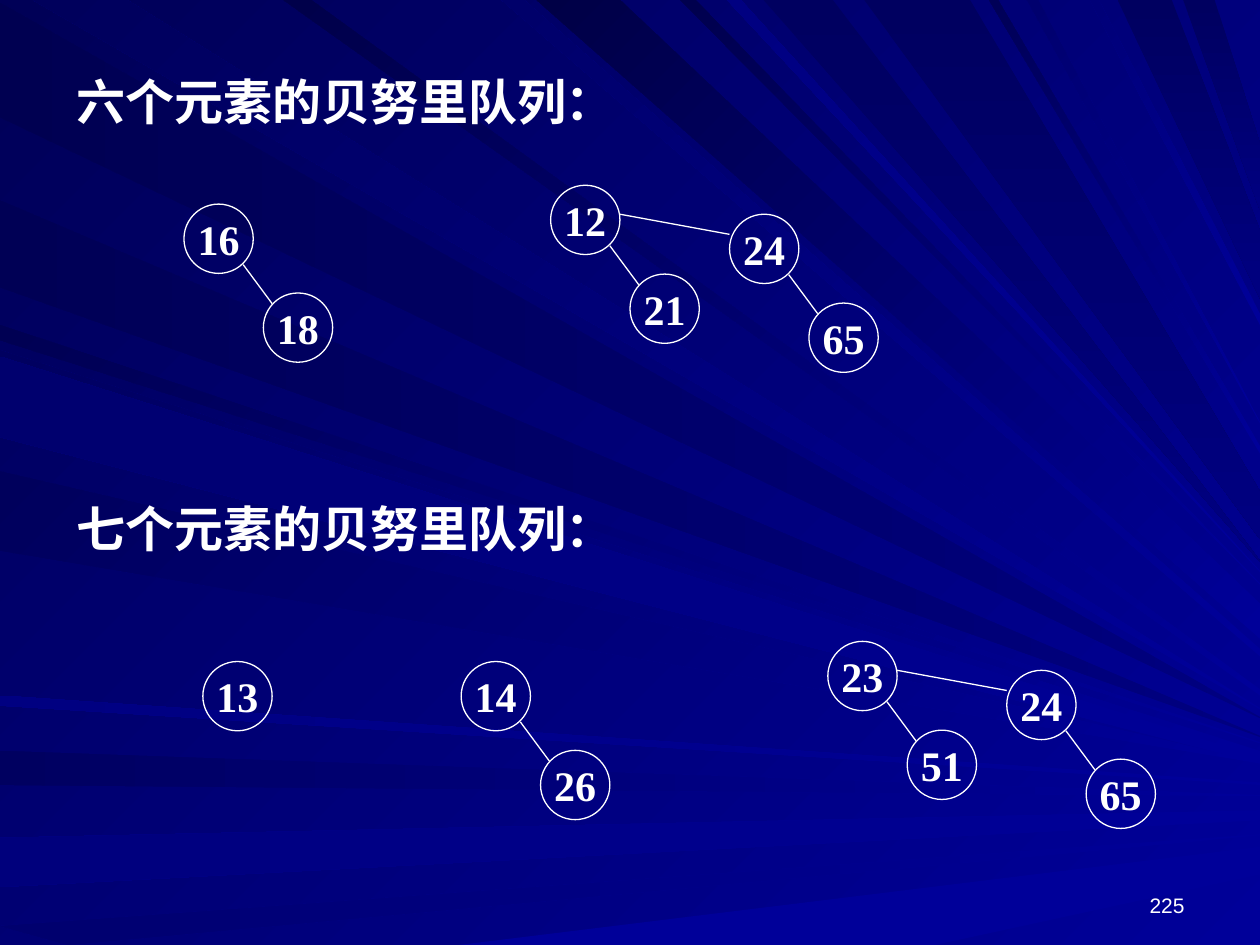
from dataclasses import dataclass
from typing import NamedTuple

from lxml.etree import SubElement
from pptx import Presentation
from pptx.dml.color import RGBColor
from pptx.enum.shapes import MSO_CONNECTOR, MSO_SHAPE
from pptx.enum.text import MSO_ANCHOR, MSO_AUTO_SIZE, PP_ALIGN
from pptx.oxml.ns import qn
from pptx.util import Inches, Pt


class Box(NamedTuple):
    """A region in grid columns and rows."""
    left: float
    top: float
    width: float
    height: float


class Shade(NamedTuple):
    """A clockwise gradient angle and its first colour."""
    angle: int
    start: str


class Ray(NamedTuple):
    """A wedge from a span of the border to the right edge."""
    shade: Shade
    end: str
    low: int
    high: int
    far: int
    spread: int = 1


@dataclass(frozen=True)
class Theme:
    """Colours, fonts and sizes of the deck."""
    ink: str = "FFFFFF"
    bright: str = "000099"
    middle: str = "000080"
    dark: str = "000057"
    steep: str = "000060"
    serif: str = "Times New Roman"
    sans: str = "Arial"
    title: int = 28
    node: int = 24
    number: int = 12
    stroke: float = 0.75


THEME = Theme()
CELL = Inches(0.01)
SLIDE = Box(0, 0, 1000, 750)
NODE = 55
CHILD = (63, 70.5)
SUBTREE = (142, 23)
CHILD_LINK = (47, 48, 70, 79)
SUBTREE_LINK = (55, 23, 142, 39)

FLAT = Shade(180, THEME.bright)
DIM = Shade(180, THEME.middle)
SLANT = Shade(225, THEME.bright)
STEEP = Shade(90, THEME.steep)
RAYS = [
    Ray(DIM, "000051", -93, -2, 569),
    Ray(SLANT, "00005C", 26, 101, 562),
    Ray(FLAT, "000060", -623, -596, 631),
    Ray(FLAT, "00007C", -704, -665, 643, 8),
    Ray(FLAT, "00006E", -804, -735, 662),
    Ray(FLAT, "000099", -1492, -1114, 672, 22),
    Ray(SLANT, "000053", -270, -258, 589),
    Ray(DIM, "000055", -228, -159, 584),
    Ray(SLANT, "00006A", 398, 416, 515, 6),
    Ray(SLANT, "000046", 426, 492, 479, 28),
    Ray(SLANT, "00004E", 540, 552, 463),
    Ray(STEEP, "000080", 606, 661, 445),
    Ray(STEEP, "000080", 887, 930, 183, 54),
    Ray(STEEP, "000080", 939, 964, 114, 53),
    Ray(SLANT, "000060", -342, -278, 596, 6),
    Ray(SLANT, "00005C", -437, -374, 605),
    Ray(FLAT, "000081", -560, -552, 621, 2),
    Ray(SLANT, "00004A", 225, 247, 547, 5),
    Ray(SLANT, "000081", 577, 588, 453),
    Ray(STEEP, "000080", 686, 770, 390, 38),
    Ray(SLANT, "000057", 785, 792, 354, 6),
    Ray(SLANT, "00006E", 815, 824, 335),
    Ray(SLANT, "000078", 865, 872, 249, 9),
    Ray(FLAT, "00006E", -347, -283, 601, 5),
]


def cells(*counts):
    """Turn grid counts into lengths."""
    return [round(count * CELL) for count in counts]


def paint(fill, shade, end):
    """Fill with a clockwise gradient."""
    fill.gradient()
    fill.gradient_angle = 360 - shade.angle
    for stop, color in zip(fill.gradient_stops, (shade.start, end)):
        stop.color.rgb = RGBColor.from_string(color)


def write(frame, text, font, size, bold=True, align=PP_ALIGN.LEFT):
    """Put one run of text in a frame."""
    para = frame.paragraphs[0]
    para.alignment = align
    span = para.add_run()
    span.text = text
    span.font.name, span.font.size, span.font.bold = font, Pt(size), bold
    span.font.color.rgb = RGBColor.from_string(THEME.ink)


def outline(line):
    """Give a line the ink colour and stroke width."""
    line.color.rgb = RGBColor.from_string(THEME.ink)
    line.width = Pt(THEME.stroke)


def border_point(box, reach):
    """Walk from the top left corner: right if positive, else down and along the foot."""
    down = min(max(-reach, 0), box.height)
    along = reach if reach > 0 else -reach - down
    return box.left + along, box.top + down


def backdrop(page, box):
    """Lay the gradient and the fan of rays over the box."""
    paint(page.background.fill, SLANT, THEME.dark)
    right = box.left + box.width
    for ray in RAYS:
        builder = page.shapes.build_freeform(*border_point(box, ray.low), scale=CELL)
        far = box.top + ray.far
        builder.add_line_segments(
            [border_point(box, ray.high), (right, far), (right, far + ray.spread)], close=True)
        shape = builder.convert_to_shape()
        shape.shadow.inherit = False
        shape.line.fill.background()
        paint(shape.fill, ray.shade, ray.end)


def node(page, left, top, label):
    """Draw one numbered ring."""
    ring = page.shapes.add_shape(MSO_SHAPE.OVAL, *cells(left, top, NODE, NODE))
    ring.shadow.inherit = False
    ring.fill.background()
    outline(ring.line)
    frame = ring.text_frame
    frame.word_wrap = False
    frame.vertical_anchor = MSO_ANCHOR.MIDDLE
    write(frame, str(label), THEME.serif, THEME.node, align=PP_ALIGN.CENTER)


def link(page, left, top, ends):
    """Draw a tree edge whose ends are relative to the parent ring."""
    x1, y1, x2, y2 = ends
    points = cells(left + x1, top + y1, left + x2, top + y2)
    edge = page.shapes.add_connector(MSO_CONNECTOR.STRAIGHT, *points)
    outline(edge.line)
    SubElement(edge._element.spPr, qn("a:effectLst"))


def tree(page, left, top, labels):
    """Draw a binomial tree of one, two or four labels."""
    if len(labels) == 4:
        tree(page, left, top, labels[:2])
        tree(page, left + SUBTREE[0], top + SUBTREE[1], labels[2:])
        link(page, left, top, SUBTREE_LINK)
        return
    node(page, left, top, labels[0])
    if len(labels) == 2:
        node(page, left + CHILD[0], top + CHILD[1], labels[1])
        link(page, left, top, CHILD_LINK)


def queue(page, box, title, trees):
    """Set a heading at the top of the box and its trees below."""
    heading = page.shapes.add_textbox(*cells(box.left, box.top, box.width, 57))
    heading.text_frame.word_wrap = True
    heading.text_frame.auto_size = MSO_AUTO_SIZE.SHAPE_TO_FIT_TEXT
    write(heading.text_frame, title, THEME.serif, THEME.title)
    for x, y, labels in trees:
        tree(page, box.left + x, box.top + y, labels)


def page_number(page, box, number):
    """Set the page number at the lower right of the box."""
    frame = page.shapes.add_textbox(*cells(*box)).text_frame
    frame.word_wrap = True
    frame.vertical_anchor = MSO_ANCHOR.BOTTOM
    write(frame, number, THEME.sans, THEME.number, bold=False, align=PP_ALIGN.RIGHT)


def main():
    """Build and save the deck."""
    deck = Presentation()
    deck.slide_width, deck.slide_height = cells(SLIDE.width, SLIDE.height)
    page = deck.slides.add_slide(deck.slide_layouts[6])
    backdrop(page, SLIDE)
    queue(page, Box(51, 52, 528, 250), "六个元素的贝努里队列：",
          [(95, 110, (16, 18)), (386, 95, (12, 21, 24, 65))])
    queue(page, Box(51, 391, 528, 270), "七个元素的贝努里队列：",
          [(110, 134, (13,)), (315, 134, (14, 26)), (606, 118, (23, 51, 24, 65))])
    page_number(page, Box(717, 683, 233, 50), "225")
    deck.save("out.pptx")


if __name__ == "__main__":
    main()
